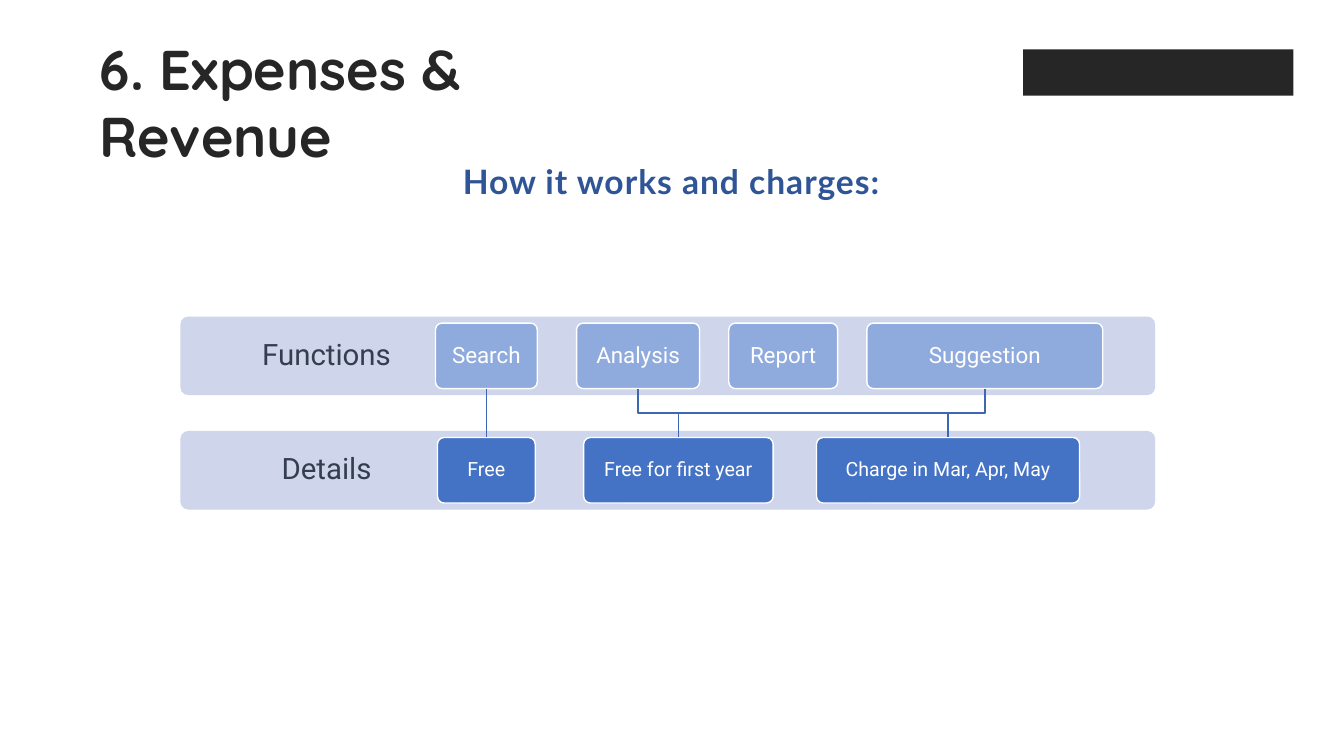
from dataclasses import dataclass
from lxml.etree import SubElement
from pptx import Presentation
from pptx.dml.color import RGBColor
from pptx.enum.shapes import MSO_CONNECTOR, MSO_SHAPE
from pptx.enum.text import MSO_ANCHOR, MSO_AUTO_SIZE, PP_ALIGN
from pptx.oxml.ns import qn
from pptx.util import Inches, Pt

COLUMNS, ROWS = 133.33, 75  # grid cells of a tenth of an inch


@dataclass(frozen=True)
class Theme:
    title_font: str = "Quicksand"
    heading_font: str = "Lato"
    body_font: str = "Roboto"
    ink: str = "262626"
    heading: str = "2F5597"
    label: str = "333F50"
    band: str = "CFD5EA"
    function: str = "8FAADC"
    detail: str = "4472C4"
    link: str = "3E67B2"
    white: str = "FFFFFF"
    title_size: int = 40
    heading_size: int = 24
    label_size: int = 21
    function_size: int = 16
    detail_size: int = 14


@dataclass(frozen=True)
class Box:
    left: float
    top: float
    width: float
    height: float

    @property
    def middle(self):
        return self.left + self.width / 2

    @property
    def bottom(self):
        return self.top + self.height

    def lengths(self):
        return [cells(n) for n in (self.left, self.top, self.width, self.height)]


THEME = Theme()
BAND_HEIGHT, BAND_PITCH, TILE_INSET = 7.8, 11.35, 0.65
# Tiles: text, offset from the diagram's left, width
FUNCTIONS = [("Search", 25.3, 10.1), ("Analysis", 39.3, 12.2),
             ("Report", 54.4, 10.8), ("Suggestion", 68.1, 23.4)]
DETAILS = [("Free", 25.5, 9.7), ("Free for first year", 40, 18.8),
           ("Charge in Mar, Apr, May", 63.1, 26.1)]
LINKS = [("Search", "Free"), ("Analysis", "Free for first year"),
         ("Suggestion", "Charge in Mar, Apr, May")]


def cells(count):
    return Inches(count / 10)


def color(code):
    return RGBColor.from_string(code)


def write(frame, text, font, size, code, bold=False):
    frame.word_wrap = True
    para = frame.paragraphs[0]
    para.text = text
    para.font.name, para.font.size, para.font.bold = font, Pt(size), bold
    para.font.color.rgb = color(code)
    return para


def add_text(page, box, *style):
    frame = page.shapes.add_textbox(*box.lengths()).text_frame
    frame.auto_size = MSO_AUTO_SIZE.SHAPE_TO_FIT_TEXT
    return write(frame, *style, bold=True)


def add_panel(page, box, fill, rounding=0.1, outline=None):
    panel = page.shapes.add_shape(MSO_SHAPE.ROUNDED_RECTANGLE, *box.lengths())
    panel.adjustments[0] = rounding
    panel.shadow.inherit = False
    panel.fill.solid()
    panel.fill.fore_color.rgb = color(fill)
    if outline:
        panel.line.color.rgb = color(outline)
        panel.line.width = Pt(1)
    else:
        panel.line.fill.background()
    return panel


def label_panel(panel, text, size, code, inset, right_inset):
    frame = panel.text_frame
    frame.vertical_anchor = MSO_ANCHOR.MIDDLE
    frame.margin_left = frame.margin_top = frame.margin_bottom = cells(inset)
    frame.margin_right = cells(right_inset)
    para = write(frame, text, THEME.body_font, size, code)
    para.alignment = PP_ALIGN.CENTER
    para.line_spacing = 0.9


def add_line(page, start, end):
    line = page.shapes.add_connector(MSO_CONNECTOR.STRAIGHT,
                                     *map(cells, start + end))
    line.line.color.rgb = color(THEME.link)
    line.line.width = Pt(1)
    SubElement(line._element.spPr, qn("a:effectLst"))


def add_link(page, upper, lower):
    """Drop from one tile to the next, with a step halfway when offset."""
    start, end = (upper.middle, upper.bottom), (lower.middle, lower.top)
    if abs(start[0] - end[0]) < 0.5:
        add_line(page, start, end)
        return
    halfway = (start[1] + end[1]) / 2
    route = [start, (start[0], halfway), (end[0], halfway), end]
    points = [tuple(map(cells, point)) for point in route]
    builder = page.shapes.build_freeform(*points[0])
    builder.add_line_segments(points[1:], close=False)
    elbow = builder.convert_to_shape()
    elbow.shadow.inherit = False
    elbow.fill.background()
    elbow.line.color.rgb = color(THEME.link)
    elbow.line.width = Pt(1)


def add_row(page, box, name, tiles, fill, size):
    """Draw a labelled band with its tiles; return the tile boxes by text."""
    label_panel(add_panel(page, box, THEME.band), name,
                THEME.label_size, THEME.label, 1.6, 69.3)
    placed = {}
    for text, offset, width in tiles:
        tile = Box(box.left + offset, box.top + TILE_INSET,
                   width, box.height - 2 * TILE_INSET)
        label_panel(add_panel(page, tile, fill, outline=THEME.white),
                    text, size, THEME.white, 0.8, 0.8)
        placed[text] = tile
    return placed


def add_diagram(page, box):
    upper = Box(box.left, box.top, box.width, BAND_HEIGHT)
    lower = Box(box.left, box.top + BAND_PITCH, box.width, BAND_HEIGHT)
    functions = add_row(page, upper, "Functions", FUNCTIONS,
                        THEME.function, THEME.function_size)
    details = add_row(page, lower, "Details", DETAILS,
                      THEME.detail, THEME.detail_size)
    for function, detail in LINKS:
        add_link(page, functions[function], details[detail])
    first, last = (details[detail] for _, detail in LINKS[1:])
    halfway = (functions["Analysis"].bottom + first.top) / 2
    add_line(page, (first.middle, halfway), (last.middle, halfway))


def add_header(page, box):
    add_text(page, Box(box.left, box.top, 56.2, 7.7), "6. Expenses & Revenue",
             THEME.title_font, THEME.title_size, THEME.ink)
    add_panel(page, Box(box.left + 92.6, box.top + 2, 26.8, 4.6),
              THEME.ink, rounding=0)
    para = add_text(page, Box(box.left + 17.3, box.top + 12, 80.8, 5.4),
                    "How it works and charges:",
                    THEME.heading_font, THEME.heading_size, THEME.heading)
    para.alignment = PP_ALIGN.CENTER
    para.line_spacing = 1.14
    para.space_before = para.space_after = Pt(6)
    para.runs[0]._r.get_or_add_rPr().set("spc", "70")


def main():
    deck = Presentation()
    deck.slide_width, deck.slide_height = cells(COLUMNS), cells(ROWS)
    page = deck.slides.add_slide(deck.slide_layouts[6])
    add_header(page, Box(8.9, 2.9, 119.4, 17.4))
    add_diagram(page, Box(17.9, 31.4, 96.7, BAND_PITCH + BAND_HEIGHT))
    deck.save("out.pptx")


if __name__ == "__main__":
    main()
